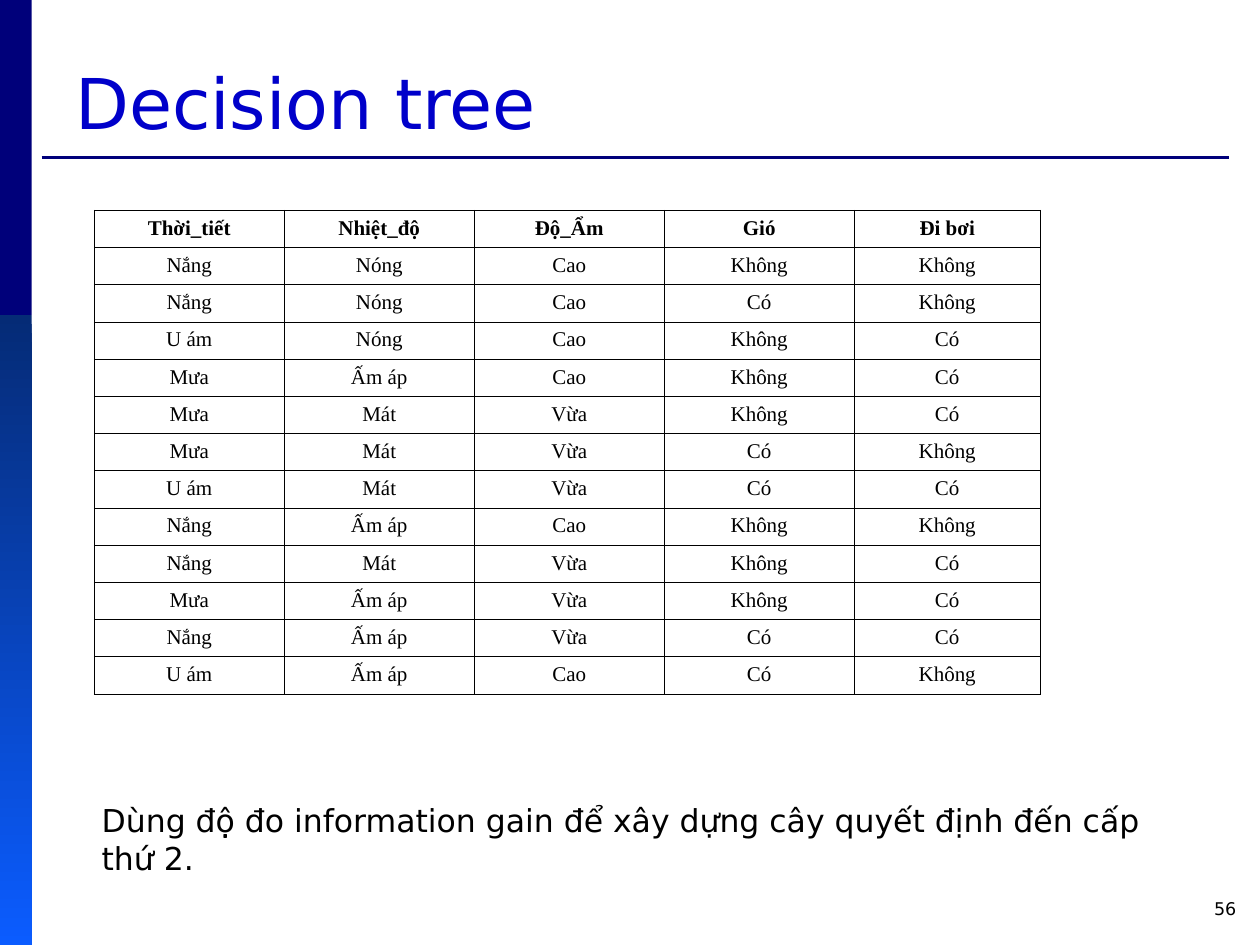
from dataclasses import dataclass

from lxml import etree
from pptx import Presentation
from pptx.dml.color import RGBColor
from pptx.enum.shapes import MSO_CONNECTOR, MSO_SHAPE
from pptx.enum.text import MSO_ANCHOR, PP_ALIGN
from pptx.oxml.ns import qn
from pptx.shapes.autoshape import Shape
from pptx.slide import Slide
from pptx.table import _Cell
from pptx.util import Cm, Pt

RECTANGLE = MSO_SHAPE.RECTANGLE
STRAIGHT = MSO_CONNECTOR.STRAIGHT
LEFT, CENTER, RIGHT = PP_ALIGN.LEFT, PP_ALIGN.CENTER, PP_ALIGN.RIGHT
TOP, BOTTOM = MSO_ANCHOR.TOP, MSO_ANCHOR.BOTTOM


@dataclass(frozen=True)
class Theme:
    navy: str = "00007A"
    title: str = "0000CA"
    gradient: tuple[str, str] = ("052B76", "0B5CFF")
    text: str = "000000"
    paper: str = "FFFFFF"
    font: str = "DejaVu Sans"
    table_font: str = "Times New Roman"
    title_size: float = 40
    body_size: float = 18
    table_size: float = 12
    number_size: float = 10
    rule_width: float = 1.5
    border_width: float = 0.45


@dataclass(frozen=True)
class Box:
    """Left, top, width and height in centimetres."""
    left: float
    top: float
    width: float
    height: float

    def lengths(self) -> tuple[Cm, Cm, Cm, Cm]:
        return Cm(self.left), Cm(self.top), Cm(self.width), Cm(self.height)


@dataclass(frozen=True)
class Label:
    text: str
    box: Box
    size: float
    color: str
    alignment: PP_ALIGN = LEFT
    anchor: MSO_ANCHOR = TOP


THEME = Theme()
UPPER_BAR = Box(0, 0, 0.64, 6.35)
LOWER_BAR = Box(0, 6.35, 0.64, 12.7)
TABLE_LEFT, TABLE_TOP = 1.9, 4.24
COLUMN_WIDTHS = (3.83, 3.83, 3.83, 3.83, 3.75)
ROW_HEIGHT = 0.75

LABELS = (
    Label("Decision tree", Box(1.27, 0.2, 23.7, 2.82),
          THEME.title_size, THEME.title, anchor=BOTTOM),
    Label("56", Box(19.25, 17.98, 5.92, 0.84),
          THEME.number_size, THEME.text, RIGHT),
    Label("Dùng độ đo information gain để xây dựng cây quyết định đến cấp thứ 2.",
          Box(1.8, 16.03, 21.9, 1.78), THEME.body_size, THEME.text),
)

WEATHER_ROWS = (
    ("Thời_tiết", "Nhiệt_độ", "Độ_Ẩm", "Gió", "Đi bơi"),
    ("Nắng", "Nóng", "Cao", "Không", "Không"),
    ("Nắng", "Nóng", "Cao", "Có", "Không"),
    ("U ám", "Nóng", "Cao", "Không", "Có"),
    ("Mưa", "Ấm áp", "Cao", "Không", "Có"),
    ("Mưa", "Mát", "Vừa", "Không", "Có"),
    ("Mưa", "Mát", "Vừa", "Có", "Không"),
    ("U ám", "Mát", "Vừa", "Có", "Có"),
    ("Nắng", "Ấm áp", "Cao", "Không", "Không"),
    ("Nắng", "Mát", "Vừa", "Không", "Có"),
    ("Mưa", "Ấm áp", "Vừa", "Không", "Có"),
    ("Nắng", "Ấm áp", "Vừa", "Có", "Có"),
    ("U ám", "Ấm áp", "Cao", "Có", "Không"),
)


def color(value: str) -> RGBColor:
    return RGBColor.from_string(value)


def add_bar(slide: Slide, box: Box) -> Shape:
    bar = slide.shapes.add_shape(RECTANGLE, *box.lengths())
    bar.shadow.inherit = False
    bar.line.fill.background()
    return bar


def add_side_bars(slide: Slide) -> None:
    upper = add_bar(slide, UPPER_BAR)
    upper.fill.solid()
    upper.fill.fore_color.rgb = color(THEME.navy)

    lower = add_bar(slide, LOWER_BAR)
    lower.fill.gradient()
    lower.fill.gradient_angle = 270
    for stop, value, position in zip(lower.fill.gradient_stops, THEME.gradient, (0, 1)):
        stop.color.rgb = color(value)
        stop.position = position


def add_title_rule(slide: Slide) -> None:
    rule = slide.shapes.add_connector(STRAIGHT, Cm(0.84), Cm(3.18), Cm(24.77), Cm(3.18))
    rule.line.color.rgb = color(THEME.navy)
    rule.line.width = Pt(THEME.rule_width)
    etree.SubElement(rule._element.spPr, qn("a:effectLst"))


def add_label(slide: Slide, label: Label) -> None:
    frame = slide.shapes.add_textbox(*label.box.lengths()).text_frame
    frame.word_wrap = True
    frame.vertical_anchor = label.anchor
    paragraph = frame.paragraphs[0]
    paragraph.text = label.text
    paragraph.alignment = label.alignment
    paragraph.font.name = THEME.font
    paragraph.font.size = Pt(label.size)
    paragraph.font.color.rgb = color(label.color)


def add_borders(cell: _Cell) -> None:
    properties = cell._tc.get_or_add_tcPr()
    for side in ("lnL", "lnR", "lnT", "lnB"):
        border = etree.SubElement(properties, qn(f"a:{side}"), w=str(Pt(THEME.border_width)))
        fill = etree.SubElement(border, qn("a:solidFill"))
        etree.SubElement(fill, qn("a:srgbClr"), val=THEME.text)


def fill_cell(cell: _Cell, text: str, bold: bool) -> None:
    add_borders(cell)
    cell.fill.solid()
    cell.fill.fore_color.rgb = color(THEME.paper)
    cell.margin_left = cell.margin_right = Cm(0.2)
    paragraph = cell.text_frame.paragraphs[0]
    paragraph.text = text
    paragraph.alignment = CENTER
    paragraph.font.name = THEME.table_font
    paragraph.font.size = Pt(THEME.table_size)
    paragraph.font.bold = bold
    paragraph.font.color.rgb = color(THEME.text)


def add_weather_table(slide: Slide) -> None:
    box = Box(TABLE_LEFT, TABLE_TOP, sum(COLUMN_WIDTHS), ROW_HEIGHT * len(WEATHER_ROWS))
    table = slide.shapes.add_table(
        len(WEATHER_ROWS), len(COLUMN_WIDTHS), *box.lengths()).table
    table.horz_banding = False
    for column, width in zip(table.columns, COLUMN_WIDTHS):
        column.width = Cm(width)
    for row_index, values in enumerate(WEATHER_ROWS):
        table.rows[row_index].height = Cm(ROW_HEIGHT)
        for column_index, text in enumerate(values):
            fill_cell(table.cell(row_index, column_index), text, bold=row_index == 0)


def main() -> None:
    presentation = Presentation()
    presentation.slide_width, presentation.slide_height = Cm(25.4), Cm(19.05)
    slide = presentation.slides.add_slide(presentation.slide_layouts[6])
    add_side_bars(slide)
    add_title_rule(slide)
    add_weather_table(slide)
    for label in LABELS:
        add_label(slide, label)
    presentation.save("out.pptx")


if __name__ == "__main__":
    main()
